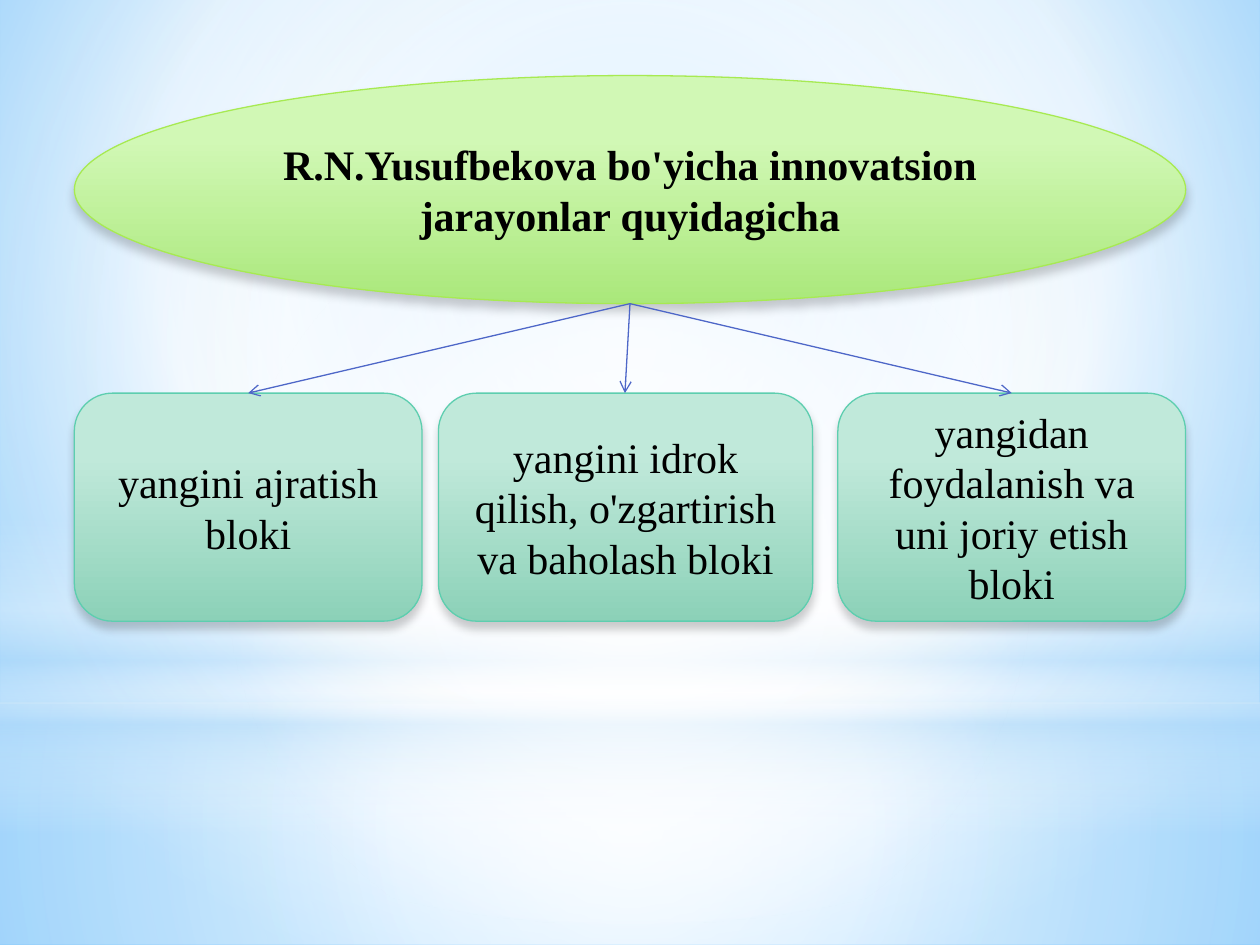
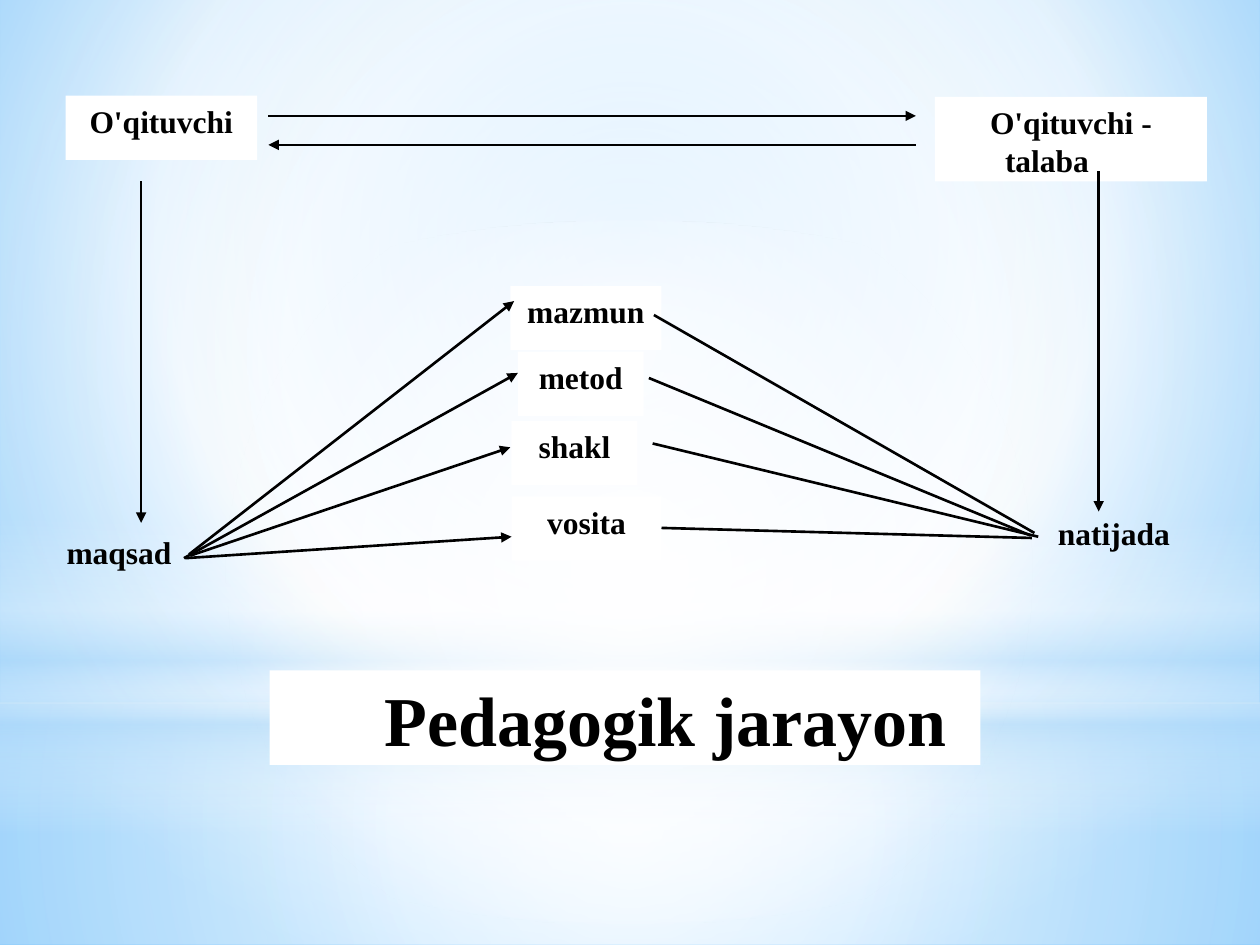
from dataclasses import dataclass

from lxml import etree
from pptx import Presentation
from pptx import util as u
from pptx.dml.color import RGBColor
from pptx.enum import shapes, text
from pptx.oxml import ns, parse_xml

PX = 9144  # 100 px to the inch
COLORS = {
    "ink": "000000", "white": "FFFFFF", "mist": "B4DCFA",
    "sky": "9ED5FF", "azure": "5BB9FF",
    "lime_light": "D1F8B5", "lime": "AAE87B", "lime_edge": "A7EA52",
    "mint_light": "C0E9DA", "mint": "8CD1B8", "mint_edge": "5DCEAF",
    "arrow": "4E67C8",
}
FONT = {"name": "Times New Roman", "bold": False, "size": u.Pt(18)}
FRAME = {"word_wrap": True, "auto_size": text.MSO_AUTO_SIZE.NONE}
CENTER, LEFT = text.PP_ALIGN.CENTER, text.PP_ALIGN.LEFT
TOP, MIDDLE = text.MSO_ANCHOR.TOP, text.MSO_ANCHOR.MIDDLE
RECT, OVAL = shapes.MSO_SHAPE.RECTANGLE, shapes.MSO_SHAPE.OVAL
ROUNDED = shapes.MSO_SHAPE.ROUNDED_RECTANGLE

Box = tuple[int, int, int, int]
Point = tuple[int, int]


@dataclass(frozen=True)
class Gradient:
    """Stops are (position %, colour key, opacity %); no center means top to bottom."""
    stops: tuple[tuple[int, str, int], ...]
    center: Box | None = None


@dataclass(frozen=True)
class Panel:
    kind: int
    box: Box
    gradient: Gradient
    edge: str = ""
    shadow: bool = False


@dataclass(frozen=True)
class Label:
    words: str
    box: Box
    filled: bool = True
    align: int = CENTER
    indent: int = 0
    side_pads: Point = (10, 10)


@dataclass(frozen=True)
class Line:
    start: Point
    end: Point
    head: str = ""
    tail: str = ""


MIDPOINT = (50, 50, 50, 50)
PAGE = Gradient(((0, "sky", 100), (60, "white", 100), (100, "azure", 100)), (20, 10, 20, 60))
BACKDROP = (
    Panel(RECT, (0, 558, 1000, 192),
          Gradient(((0, "white", 91), (37, "white", 76), (100, "mist", 79)), MIDPOINT)),
    Panel(RECT, (0, 0, 1000, 558),
          Gradient(((0, "white", 89), (48, "white", 62), (100, "mist", 79)), MIDPOINT)),
    Panel(RECT, (0, 412, 1000, 250),
          Gradient(((0, "white", 0), (29, "white", 30), (45, "mist", 40),
                    (55, "white", 26), (65, "mist", 60), (100, "white", 0)))),
    Panel(OVAL, (0, 175, 1000, 558),
          Gradient(((0, "white", 100), (56, "white", 0)), MIDPOINT)),
)
LIME = Gradient(((28, "lime_light", 100), (100, "lime", 100)))
MINT = Gradient(((28, "mint_light", 100), (100, "mint", 100)))

BLOCK_TOP, BLOCK_HEIGHT = 312, 181
BLOCKS = (  # left, width, words
    (59, 276, "yangini аjrаtish blоki"),
    (348, 297, "yangini idrоk qilish, o'zgаrtirish vа bаhоlаsh blоki"),
    (665, 276, "yangidаn fоydаlаnish vа uni jоriy etish blоki"),
)
LABELS = (
    Label("O'qituvchi", (52, 76, 152, 51)),
    Label("O'qituvchi - tаlаbа", (742, 77, 216, 67), indent=38, side_pads=(0, 38)),
    Label("mаqsаd", (43, 418, 116, 51), filled=False, align=LEFT),
    Label("mаzmun", (405, 227, 120, 51)),
    Label("mеtоd", (411, 279, 100, 51)),
    Label("shаkl", (406, 334, 100, 51)),
    Label("vоsitа", (406, 394, 119, 51)),
    Label("nаtijаdа", (810, 403, 148, 51), filled=False),
)
LINES = (
    Line((112, 144), (112, 415), tail="triangle"),
    Line((872, 136), (872, 406), tail="triangle"),
    Line((213, 92), (727, 92), tail="triangle"),
    Line((213, 115), (727, 115), head="triangle"),
    Line((150, 440), (408, 239), tail="triangle"),
    Line((146, 443), (411, 296), tail="triangle"),
    Line((151, 441), (405, 355), tail="triangle"),
    Line((147, 443), (406, 426), tail="triangle"),
    Line((821, 423), (519, 250)),
    Line((818, 425), (515, 300)),
    Line((824, 426), (518, 352)),
    Line((819, 427), (525, 419)),
)


def emu(lengths) -> list[int]:
    return [n * PX for n in lengths]


def rgb(key: str) -> RGBColor:
    return RGBColor.from_string(COLORS[key])


def set_all(target, values: dict) -> None:
    for name, value in values.items():
        setattr(target, name, value)


def gradient_xml(gradient: Gradient):
    stops = "".join(
        f'<a:gs pos="{pos * 1000}"><a:srgbClr val="{COLORS[key]}">'
        f'<a:alpha val="{opacity * 1000}"/></a:srgbClr></a:gs>'
        for pos, key, opacity in gradient.stops)
    if gradient.center:
        l, t, r, b = (n * 1000 for n in gradient.center)
        course = f'<a:path path="circle"><a:fillToRect l="{l}" t="{t}" r="{r}" b="{b}"/></a:path>'
    else:
        course = '<a:lin ang="5400000" scaled="0"/>'
    return parse_xml(f'<a:gradFill {ns.nsdecls("a")} rotWithShape="1">'
                     f"<a:gsLst>{stops}</a:gsLst>{course}</a:gradFill>")


def apply_gradient(fill, holder, gradient: Gradient) -> None:
    """Swap the solid fill of a property element for a gradient."""
    fill.solid()
    solid = holder.find(ns.qn("a:solidFill"))
    holder.replace(solid, gradient_xml(gradient))


def add_panel(slide, panel: Panel):
    sp = slide.shapes.add_shape(panel.kind, *emu(panel.box))
    sp.shadow.inherit = False
    props = sp._element.spPr
    apply_gradient(sp.fill, props, panel.gradient)
    if panel.edge:
        sp.line.color.rgb = rgb(panel.edge)
        sp.line.width = u.Pt(0.75)
    else:
        sp.line.fill.background()
    if panel.shadow:
        props.find(ns.qn("a:effectLst")).append(parse_xml(
            f'<a:outerShdw {ns.nsdecls("a")} blurRad="{u.Pt(5)}" dist="{u.Pt(4)}" '
            f'dir="5400000" rotWithShape="0"><a:srgbClr val="{COLORS["ink"]}">'
            '<a:alpha val="20000"/></a:srgbClr></a:outerShdw>'))
    return sp


def write(sp, words: str, align: int = CENTER, anchor: int = TOP, indent: int = 0,
          side_pads: Point = (10, 10), **font) -> None:
    tf = sp.text_frame
    left, right = emu(side_pads)
    set_all(tf, FRAME | {"vertical_anchor": anchor, "margin_left": left, "margin_right": right})
    p = tf.paragraphs[0]
    p.alignment = align
    if indent:
        p._p.get_or_add_pPr().set("indent", str(indent * PX))
    r = p.add_run()
    r.text = words
    set_all(r.font, FONT | font)
    r.font.color.rgb = rgb("ink")


def place_title(slide, words: str, box: Box, **style):
    """Move the title placeholder to the box and to the front."""
    sp = slide.shapes.title
    set_all(sp, dict(zip(("left", "top", "width", "height"), emu(box))))
    slide.shapes._spTree.append(sp._element)
    write(sp, words, bold=True, **style)
    return sp


def fill_white(sp) -> None:
    sp.fill.solid()
    sp.fill.fore_color.rgb = rgb("white")


def add_label(slide, label: Label) -> None:
    if label.filled:
        sp = slide.shapes.add_shape(RECT, *emu(label.box))
        sp.shadow.inherit = False
        sp.line.fill.background()
        fill_white(sp)
    else:
        sp = slide.shapes.add_textbox(*emu(label.box))
    write(sp, label.words, label.align, indent=label.indent,
          side_pads=label.side_pads, bold=True)


def add_line(slide, line: Line, color: str, width: float) -> None:
    cxn = slide.shapes.add_connector(shapes.MSO_CONNECTOR.STRAIGHT,
                                     *emu(line.start + line.end))
    cxn.line.color.rgb = rgb(color)
    cxn.line.width = u.Pt(width)
    ln = cxn.line._get_or_add_ln()
    for tag, kind in (("a:headEnd", line.head), ("a:tailEnd", line.tail)):
        if kind:
            etree.SubElement(ln, ns.qn(tag), type=kind)
    etree.SubElement(cxn._element.spPr, ns.qn("a:effectLst"))


def dress_master(prs, slide) -> None:
    """Give the master its background; panels are drawn on a slide, then moved."""
    master = prs.slide_master
    fill = master.background.fill
    apply_gradient(fill, master.element.find(".//" + ns.qn("p:bgPr")), PAGE)
    for i, panel in enumerate(BACKDROP):
        master.shapes._spTree.insert(2 + i, add_panel(slide, panel)._element)


def build_blocks(slide) -> None:
    add_panel(slide, Panel(OVAL, (59, 60, 882, 181), LIME, "lime_edge", True))
    place_title(slide, "R.N.Yusufbеkоvа bo'yichа innоvаtsiоn jаrаyonlаr quyidаgichа",
                (173, 105, 654, 91), size=u.Pt(24))
    for left, width, words in BLOCKS:
        box = (left, BLOCK_TOP, width, BLOCK_HEIGHT)
        sp = add_panel(slide, Panel(ROUNDED, box, MINT, "mint_edge", True))
        write(sp, words, anchor=MIDDLE, size=u.Pt(24))
    for left, width, _ in BLOCKS:
        end = (left + width // 2, BLOCK_TOP)
        add_line(slide, Line((500, 241), end, tail="arrow"), "arrow", 0.75)


def build_process(slide) -> None:
    for label in LABELS:
        add_label(slide, label)
    for line in LINES:
        add_line(slide, line, "ink", 1.5)
    fill_white(place_title(slide, "Pеdаgоgik jаrаyon", (214, 532, 564, 75),
                           indent=64, size=u.Pt(40)))


def main() -> None:
    prs = Presentation()
    prs.slide_width, prs.slide_height = emu((1000, 750))
    title_only = prs.slide_layouts[5]
    first, second = (prs.slides.add_slide(title_only) for _ in range(2))
    dress_master(prs, first)
    build_blocks(first)
    build_process(second)
    prs.save("out.pptx")


if __name__ == "__main__":
    main()
